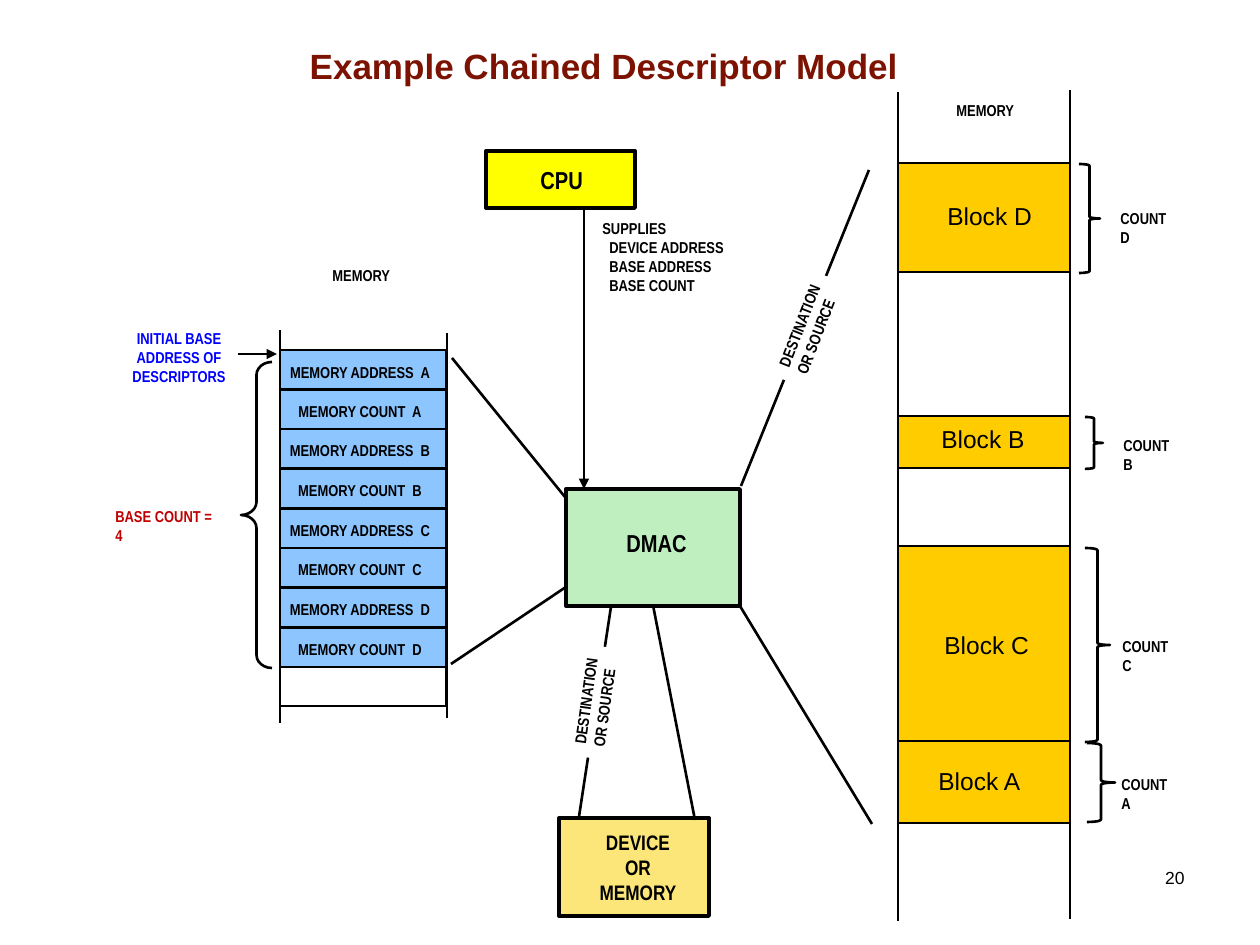
from dataclasses import dataclass
from typing import NamedTuple, Optional

from lxml import etree
from pptx import Presentation
from pptx.dml.color import RGBColor
from pptx.enum.shapes import MSO_CONNECTOR, MSO_SHAPE
from pptx.enum.text import MSO_ANCHOR, MSO_AUTO_SIZE, PP_ALIGN
from pptx.oxml.ns import qn
from pptx.util import Inches, Pt

PX_PER_INCH = 126
LEFT, CENTER, RIGHT = PP_ALIGN.LEFT, PP_ALIGN.CENTER, PP_ALIGN.RIGHT
TOP = MSO_ANCHOR.TOP
FIT, FIXED = MSO_AUTO_SIZE.SHAPE_TO_FIT_TEXT, MSO_AUTO_SIZE.NONE
RECTANGLE = MSO_SHAPE.RECTANGLE
LEFT_BRACE, RIGHT_BRACE = MSO_SHAPE.LEFT_BRACE, MSO_SHAPE.RIGHT_BRACE
STRAIGHT = MSO_CONNECTOR.STRAIGHT

BLACK = RGBColor(0x00, 0x00, 0x00)
WHITE = RGBColor(0xFF, 0xFF, 0xFF)
MAROON = RGBColor(0x7C, 0x13, 0x02)
RED = RGBColor(0xC0, 0x00, 0x00)
BLUE = RGBColor(0x00, 0x00, 0xFF)
GREEN = RGBColor(0xBF, 0xEF, 0xBF)
YELLOW = RGBColor(0xFF, 0xFF, 0x00)
SAND = RGBColor(0xFC, 0xE6, 0x7A)
ORANGE = RGBColor(0xFF, 0xCC, 0x00)
SKY = RGBColor(0x8D, 0xC6, 0xFF)


class Area(NamedTuple):
    left: int
    top: int
    width: int
    height: int


@dataclass
class Panel:
    area: Area
    fill: RGBColor
    line_width: float = 1.5


@dataclass
class Label:
    text: str
    area: Area
    size: int = 9
    font: str = "Arial Narrow"
    bold: bool = True
    color: RGBColor = BLACK
    fill: Optional[RGBColor] = None
    align: PP_ALIGN = LEFT
    wrap: bool = False
    fit: bool = True
    rotation: float = 0
    indent: int = 0


@dataclass
class Link:
    start: tuple[int, int]
    end: tuple[int, int]
    arrow: bool = False


@dataclass
class Brace:
    area: Area
    kind: MSO_SHAPE = RIGHT_BRACE
    curve: float = 0.08


def px(length: int) -> int:
    return round(length * Inches(1) / PX_PER_INCH)


def set_format(target, values: dict) -> None:
    for name, value in values.items():
        setattr(target, name, value)


def set_line(line, width: float) -> None:
    line.color.rgb = BLACK
    line.width = Pt(width)


def write_text(box, label: Label) -> None:
    """Fill a text box or placeholder; lines after the first take the indent."""
    frame = box.text_frame
    frame.text = label.text
    set_format(frame, {
        "word_wrap": label.wrap,
        "auto_size": FIT if label.fit else FIXED,
        "vertical_anchor": TOP,
        "margin_left": Inches(0.1), "margin_right": Inches(0.1),
        "margin_top": Inches(0.05), "margin_bottom": Inches(0.05),
    })
    for index, para in enumerate(frame.paragraphs):
        para.alignment = label.align
        if label.indent and index:
            para._p.get_or_add_pPr().set("marL", str(px(label.indent)))
        for span in para.runs:
            set_format(span.font, {"name": label.font, "size": Pt(label.size),
                                   "bold": label.bold})
            span.font.color.rgb = label.color
    # Fitting the frame must not move it from its planned place.
    set_format(box, dict(zip(Area._fields, map(px, label.area))))


def draw_label(page, label: Label) -> None:
    box = page.shapes.add_textbox(*map(px, label.area))
    write_text(box, label)
    box.rotation = label.rotation
    if label.fill is not None:
        box.fill.solid()
        box.fill.fore_color.rgb = label.fill


def draw_panel(page, panel: Panel) -> None:
    shape = page.shapes.add_shape(RECTANGLE, *map(px, panel.area))
    shape.shadow.inherit = False
    shape.fill.solid()
    shape.fill.fore_color.rgb = panel.fill
    set_line(shape.line, panel.line_width)


def draw_link(page, link: Link) -> None:
    connector = page.shapes.add_connector(STRAIGHT, *map(px, link.start + link.end))
    set_line(connector.line, 1.5)
    if link.arrow:
        etree.SubElement(connector.line._get_or_add_ln(), qn("a:tailEnd"), type="triangle")
    etree.SubElement(connector._element.spPr, qn("a:effectLst"))


def draw_brace(page, brace: Brace) -> None:
    shape = page.shapes.add_shape(brace.kind, *map(px, brace.area))
    shape.shadow.inherit = False
    shape.fill.background()
    set_line(shape.line, 1.5)
    shape.adjustments[0] = brace.curve


TITLE = Label("Example Chained Descriptor Model", Area(84, 38, 1040, 87), 20, "Arial",
              color=MAROON, align=CENTER, wrap=True, fit=False)

panels = [
    Panel(Area(566, 489, 174, 117), GREEN, 2.25),
    Panel(Area(486, 151, 149, 57), YELLOW, 2.25),
    Panel(Area(559, 818, 150, 98), SAND, 2.25),
    Panel(Area(280, 667, 166, 39), WHITE),
]
labels = [
    Label("20", Area(903, 861, 294, 63), 10, "Arial", False, align=RIGHT, wrap=True,
          fit=False),
    Label("CPU", Area(528, 159, 68, 43), 14),
    Label("DMAC", Area(614, 522, 86, 43), 14),
    Label("DEVICE\nOR\nMEMORY", Area(587, 823, 102, 88), 12, align=CENTER),
    Label("MEMORY", Area(944, 95, 83, 32), fill=WHITE),
    Label("MEMORY", Area(320, 260, 83, 32), fill=WHITE),
    Label("BASE COUNT = 4", Area(103, 501, 132, 32), color=RED, fill=WHITE),
    Label("INITIAL BASE\nADDRESS OF\nDESCRIPTORS", Area(120, 323, 118, 69),
          color=BLUE, fill=WHITE, align=CENTER),
    Label("SUPPLIES\nDEVICE ADDRESS\nBASE ADDRESS\nBASE COUNT", Area(590, 213, 175, 88),
          fill=WHITE, wrap=True, indent=7),
]
for left, top, rotation in ((752, 304, 291.4), (539, 677, 278)):
    labels.append(Label("DESTINATION\nOR SOURCE", Area(left, top, 112, 50), fill=WHITE,
                        rotation=rotation))

# Data blocks: letter, top, height, then the corners of the block name and its count
for letter, top, height, name_at, count_at in (
    ("D", 163, 109, (935, 195), (1108, 203)),
    ("C", 546, 196, (932, 624), (1110, 631)),
    ("B", 416, 52, (929, 418), (1111, 430)),
    ("A", 741, 82, (926, 760), (1109, 769)),
):
    panels.append(Panel(Area(898, top, 172, height), ORANGE))
    labels.append(Label(f"Block {letter}", Area(*name_at, 111, 46), 14, "Arial", False,
                        fit=False))
    labels.append(Label(f"COUNT {letter}", Area(*count_at, 83, 32), fill=WHITE))

fields = [f"MEMORY {field}  {letter}" for letter in "ABCD" for field in ("ADDRESS", "COUNT")]
for row, field in enumerate(fields):
    row_top = round(350 + 39.7 * row)
    panels.append(Panel(Area(280, row_top, 166, 39), SKY, 0.75))
    labels.append(Label(field, Area(277, row_top + 6, 166, 32), align=CENTER, wrap=True))

links = [
    Link((1070, 90), (1070, 919)),
    Link((898, 92), (898, 921)),
    Link((447, 333), (447, 718)),
    Link((280, 330), (280, 723)),
    Link((584, 210), (584, 489), arrow=True),
    Link((224, 354), (277, 354), arrow=True),
    Link((452, 358), (565, 497)),
    Link((451, 664), (566, 587)),
    Link((579, 817), (611, 607)),
    Link((695, 820), (653, 605)),
    Link((872, 824), (740, 606)),
    Link((869, 170), (741, 486)),
]
braces = [
    Brace(Area(1079, 164, 21, 109)),
    Brace(Area(1085, 417, 18, 52)),
    Brace(Area(1085, 548, 25, 194)),
    Brace(Area(1087, 743, 28, 79)),
    Brace(Area(241, 362, 31, 306), LEFT_BRACE, 0.42),
]

deck = Presentation()
deck.slide_width, deck.slide_height = Inches(10), Inches(7.5)
page = deck.slides.add_slide(deck.slide_layouts[5])
write_text(page.shapes.title, TITLE)
for draw, items in ((draw_panel, panels), (draw_link, links), (draw_label, labels),
                    (draw_brace, braces)):
    for item in items:
        draw(page, item)
deck.save("out.pptx")
